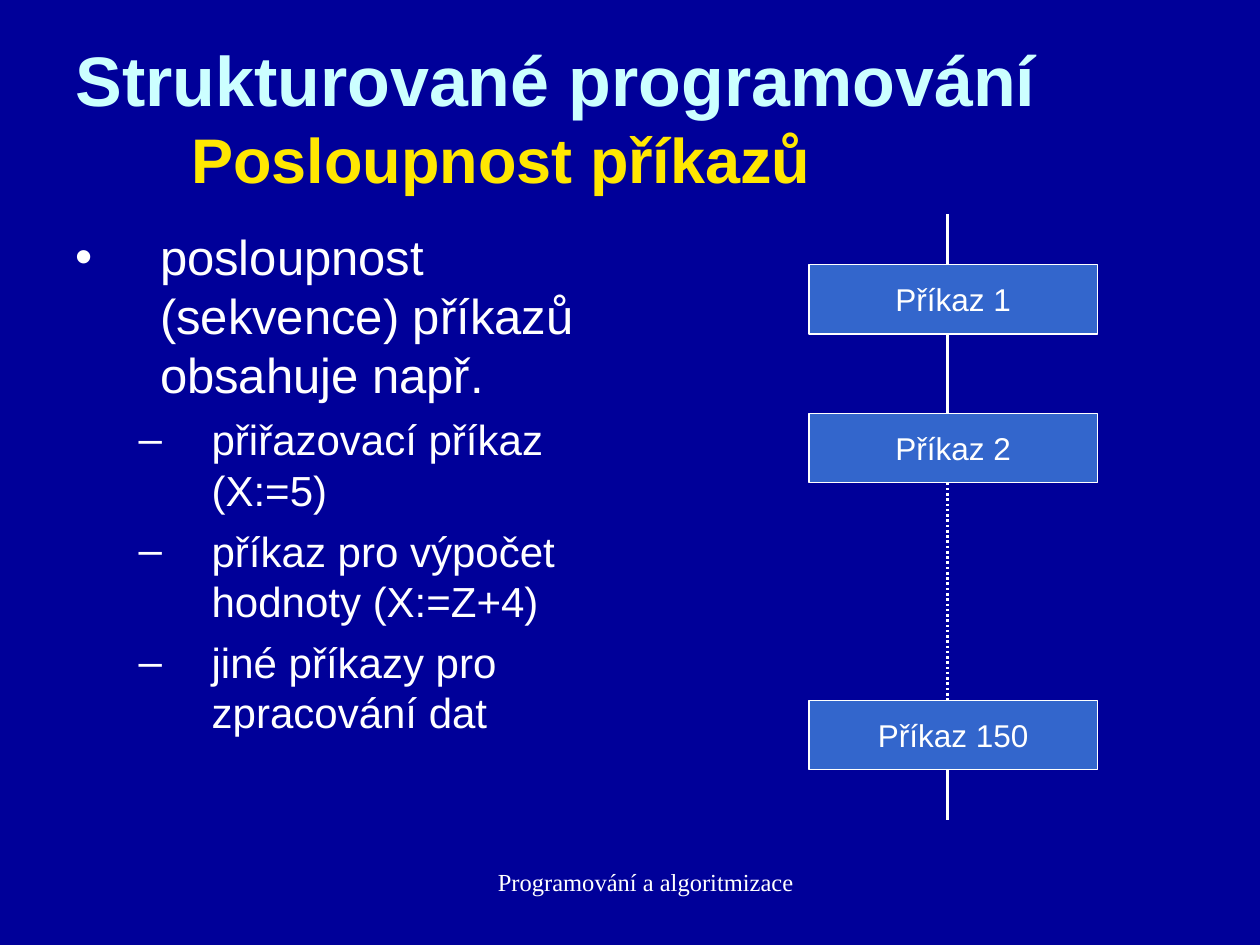
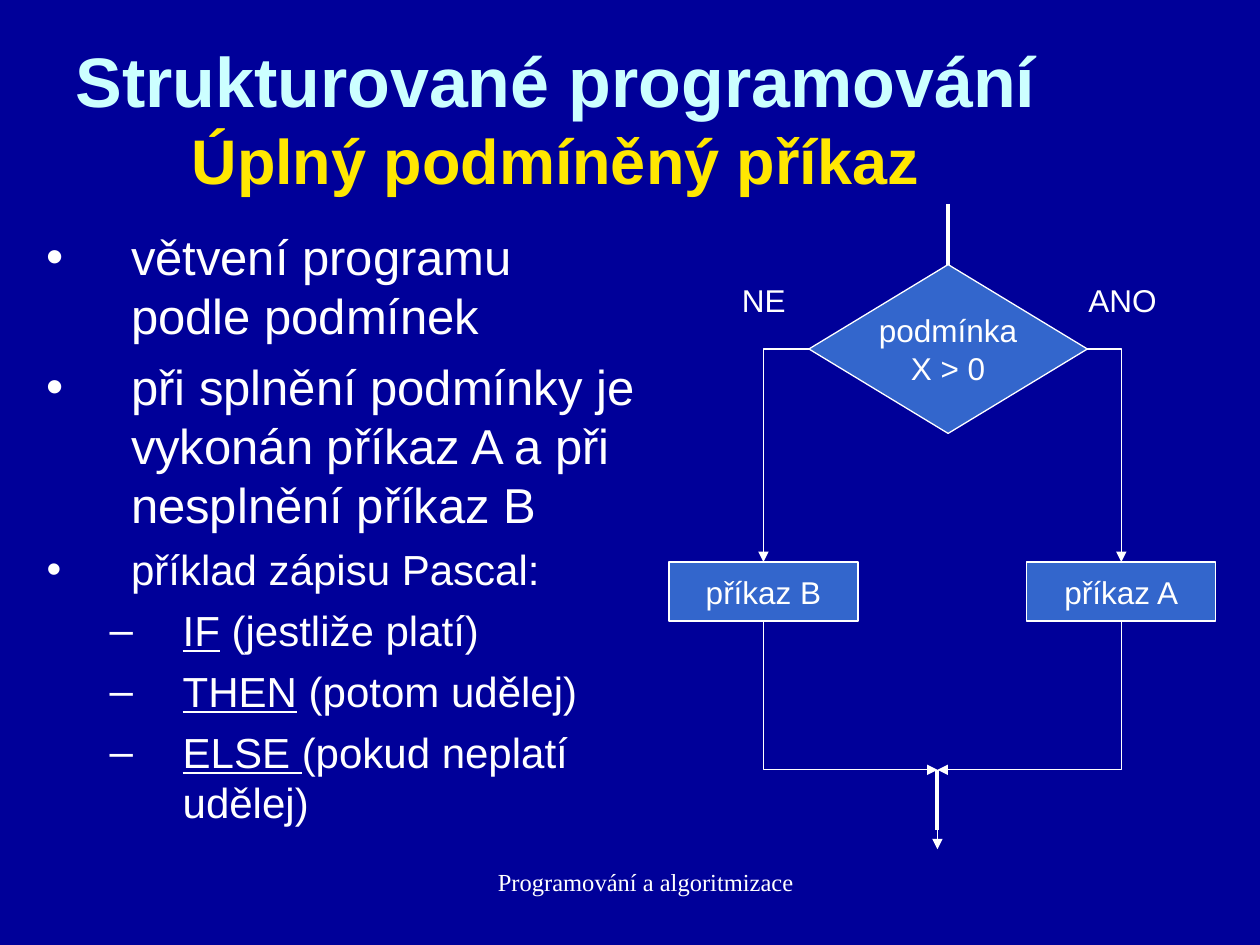
from lxml import etree
from pptx import Presentation
from pptx.dml.color import RGBColor
from pptx.enum import dml, shapes, text
from pptx.oxml.ns import qn
from pptx.util import Inches, Pt

NAVY = RGBColor(0x00, 0x00, 0x99)
BLUE = RGBColor(0x33, 0x66, 0xCC)
WHITE = RGBColor(0xFF, 0xFF, 0xFF)
PALE_CYAN = RGBColor(0xCC, 0xFF, 0xFF)
YELLOW = RGBColor(0xFF, 0xE7, 0x01)
PROCESS = shapes.MSO_SHAPE.FLOWCHART_PROCESS
DECISION = shapes.MSO_SHAPE.FLOWCHART_DECISION
INDENTS = [(0.67, -0.67), (1.08, -0.58)]  # left margin and hanging by level


def place(sp, left, top, width, height):
    sp.left, sp.top = Inches(left), Inches(top)
    sp.width, sp.height = Inches(width), Inches(height)


def set_indent(p, margin, hanging):
    pPr = p._p.get_or_add_pPr()
    pPr.set("marL", str(Inches(margin)))
    pPr.set("indent", str(Inches(hanging)))


def set_font(p, size, name="Arial"):
    p.font.name, p.font.size = name, Pt(size)
    p.font.color.rgb = WHITE


# Shared slide parts
def add_title(s, subtitle, height, break_size):
    sp = s.shapes.title
    place(sp, 0.5, 0.3, 9, height)
    tf = sp.text_frame
    tf.auto_size = text.MSO_AUTO_SIZE.NONE
    tf.vertical_anchor = text.MSO_ANCHOR.MIDDLE
    p = tf.paragraphs[0]
    p.alignment = text.PP_ALIGN.LEFT
    set_indent(p, 0.92, -0.92)
    p.font.name, p.font.bold = "Arial", True
    lines = [("Strukturované programování", 40, PALE_CYAN), (subtitle, 36, YELLOW)]
    for i, (line, size, color) in enumerate(lines):
        if i:
            p.add_line_break()
            br = p._p.find(qn("a:br"))
            etree.SubElement(br, qn("a:rPr"), sz=str(break_size * 100))
        r = p.add_run()
        r.text = line
        r.font.size, r.font.color.rgb = Pt(size), color


def add_bullets(s, box, items):
    """Each item is level, size, underlined keyword, remaining text."""
    sp = s.placeholders[1]
    place(sp, *box)
    tf = sp.text_frame
    tf.auto_size = text.MSO_AUTO_SIZE.NONE
    for i, (level, size, keyword, rest) in enumerate(items):
        p = tf.add_paragraph() if i else tf.paragraphs[0]
        p.level = level
        set_indent(p, *INDENTS[level])
        p.space_before = Pt((7 if size == 28 else 6) if i else 0)
        set_font(p, size)
        if keyword:
            r = p.add_run()
            r.text, r.font.underline = keyword, True
        p.add_run().text = rest


def add_label(s, label, left, top, width, height, size=18, name="Arial"):
    sp = s.shapes.add_textbox(0, 0, 0, 0)
    place(sp, left, top, width, height)
    tf = sp.text_frame
    tf.word_wrap = True
    tf.text = label
    set_font(tf.paragraphs[0], size, name)
    return tf


def add_footer(s):
    tf = add_label(s, "Programování a algoritmizace", 3.42, 6.83, 3.17, 0.52,
                   14, "Times New Roman")
    tf.margin_left = Inches(0.34)
    tf.paragraphs[0].alignment = text.PP_ALIGN.CENTER


# Flowchart parts
def add_node(s, kind, label, left, top, width, height):
    sp = s.shapes.add_shape(kind, 0, 0, 0, 0)
    place(sp, left, top, width, height)
    sp.shadow.inherit = False
    sp.fill.solid()
    sp.fill.fore_color.rgb = BLUE
    sp.line.color.rgb, sp.line.width = WHITE, Pt(0.75)
    tf = sp.text_frame
    tf.word_wrap = False
    tf.vertical_anchor = text.MSO_ANCHOR.MIDDLE
    tf.text = label
    for p in tf.paragraphs:
        p.alignment = text.PP_ALIGN.CENTER
        set_font(p, 18)
    return sp


def add_line(s, x1, y1, x2, y2, width=2.25, dash=None, arrow=False,
             kind=shapes.MSO_CONNECTOR.STRAIGHT):
    c = s.shapes.add_connector(kind, *(Inches(v) for v in (x1, y1, x2, y2)))
    c.line.color.rgb, c.line.width = WHITE, Pt(width)
    if dash:
        c.line.dash_style = dash
    if arrow:
        etree.SubElement(c.line._get_or_add_ln(), qn("a:tailEnd"), type="triangle")
    etree.SubElement(c._element.spPr, qn("a:effectLst"))
    return c


def add_bent_arrow(s, x1, y1, x2, y2, down_first=False):
    """One-corner arrow; a downward start is a sideways one turned by 90 degrees."""
    turn = None
    if down_first:
        cx, cy = (x1 + x2) / 2, (y1 + y2) / 2
        half_w, half_h = (y2 - y1) / 2, abs(x2 - x1) / 2
        turn = 270 if x2 > x1 else 90
        side = -1 if x2 > x1 else 1
        x1, x2 = cx - side * half_w, cx + side * half_w
        y1, y2 = cy - half_h, cy + half_h
    c = add_line(s, x1, y1, x2, y2, 0.75, arrow=True, kind=shapes.MSO_CONNECTOR.ELBOW)
    spPr = c._element.spPr
    spPr.find(qn("a:prstGeom")).set("prst", "bentConnector2")
    if turn:
        spPr.find(qn("a:xfrm")).set("rot", str(turn * 60000))


def add_sequence_chart(s, left, top):
    node_h, stub = 0.55, 0.4
    axis = left + 1.1
    nodes = [("Příkaz 1", 0.4), ("Příkaz 2", 1.58), ("Příkaz 150", 3.86)]
    for label, dy in nodes:
        add_node(s, PROCESS, label, left, top + dy, 2.29, node_h)
    # Links between the ends of the nodes; the dotted one stands for omitted steps
    starts = [top] + [top + dy + node_h for _, dy in nodes]
    ends = [top + dy for _, dy in nodes] + [starts[-1] + stub]
    for i, (start, end) in enumerate(zip(starts, ends)):
        if i == 2:
            add_line(s, axis, start, axis, end, 1.5, dml.MSO_LINE.ROUND_DOT)
        else:
            add_line(s, axis, start, axis, end)


def add_branch_chart(s, left, top):
    node_w, node_h = 1.5, 0.47
    node_top, merge_x, merge_y = top + 2.84, left + 2.13, top + 4.49
    # Condition with its entry line
    cond_left, cond_top, cond_w, cond_h = left + 1.11, top + 0.48, 2.21, 1.34
    cond = add_node(s, DECISION, "podmínka\nX > 0", cond_left, cond_top, cond_w, cond_h)
    axis = cond_left + cond_w / 2
    add_line(s, axis, top, axis, cond_top).end_connect(cond, 0)
    # Branches
    branches = [("příkaz B", left, cond_left),
                ("příkaz A", left + 2.84, cond_left + cond_w)]
    for label, x, corner in branches:
        add_node(s, PROCESS, label, x, node_top, node_w, node_h)
        mid = x + node_w / 2
        add_bent_arrow(s, corner, cond_top + cond_h / 2, mid, node_top)
        add_bent_arrow(s, mid, node_top + node_h, merge_x, merge_y, down_first=True)
    # Exit
    add_line(s, merge_x, merge_y, merge_x, merge_y + 0.48)
    add_line(s, merge_x, merge_y + 0.48, merge_x, merge_y + 0.63, 0.75, arrow=True)
    add_label(s, "NE", left + 0.48, top + 0.56, 0.63, 0.4)
    add_label(s, "ANO", left + 3.23, top + 0.56, 0.79, 0.4)


def add_slide(prs, subtitle, title_height, break_size, body_box, items, chart, chart_at):
    s = prs.slides.add_slide(prs.slide_layouts[1])
    add_title(s, subtitle, title_height, break_size)
    add_bullets(s, body_box, items)
    chart(s, *chart_at)
    add_footer(s)


def main():
    prs = Presentation()
    prs.slide_width, prs.slide_height = Inches(10), Inches(7.5)
    fill = prs.slide_master.background.fill
    fill.solid()
    fill.fore_color.rgb = NAVY

    add_slide(prs, "Posloupnost příkazů", 1.25, 40, (0.5, 1.75, 4.42, 4.95), [
        (0, 28, "", "posloupnost (sekvence) příkazů obsahuje např."),
        (1, 24, "", "přiřazovací příkaz (X:=5)"),
        (1, 24, "", "příkaz pro výpočet hodnoty (X:=Z+4)"),
        (1, 24, "", "jiné příkazy pro zpracování dat"),
    ], add_sequence_chart, (6.42, 1.7))

    add_slide(prs, "Úplný podmíněný příkaz", 1.26, 48, (0.27, 1.75, 4.88, 5.23), [
        (0, 28, "", "větvení programu podle podmínek"),
        (0, 28, "", "při splnění podmínky je vykonán příkaz A a při nesplnění příkaz B"),
        (0, 24, "", "příklad zápisu Pascal:"),
        (1, 24, "IF", " (jestliže platí)"),
        (1, 24, "THEN", " (potom udělej)"),
        (1, 24, "ELSE ", "(pokud neplatí udělej)"),
    ], add_branch_chart, (5.31, 1.62))

    prs.save("out.pptx")


if __name__ == "__main__":
    main()
